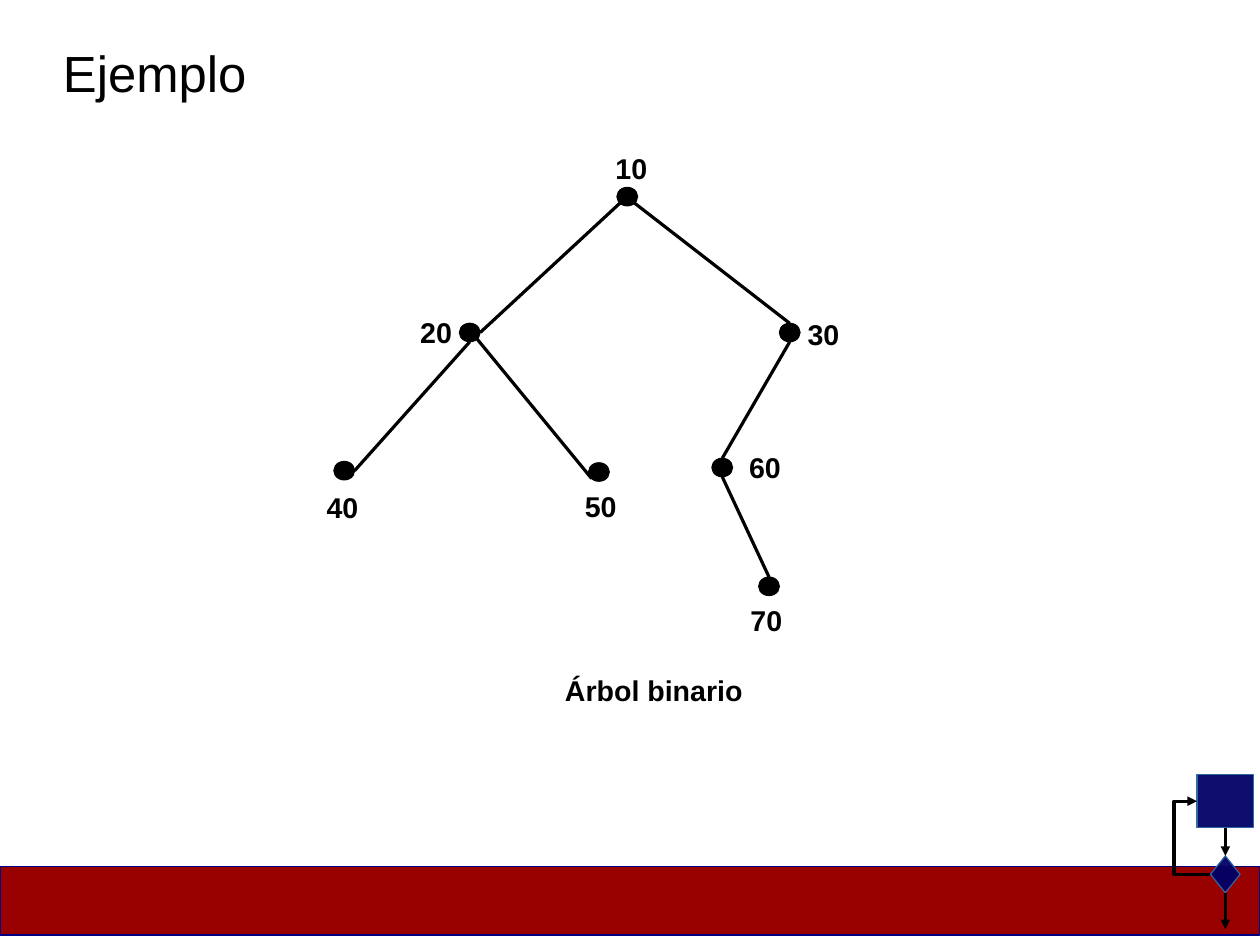
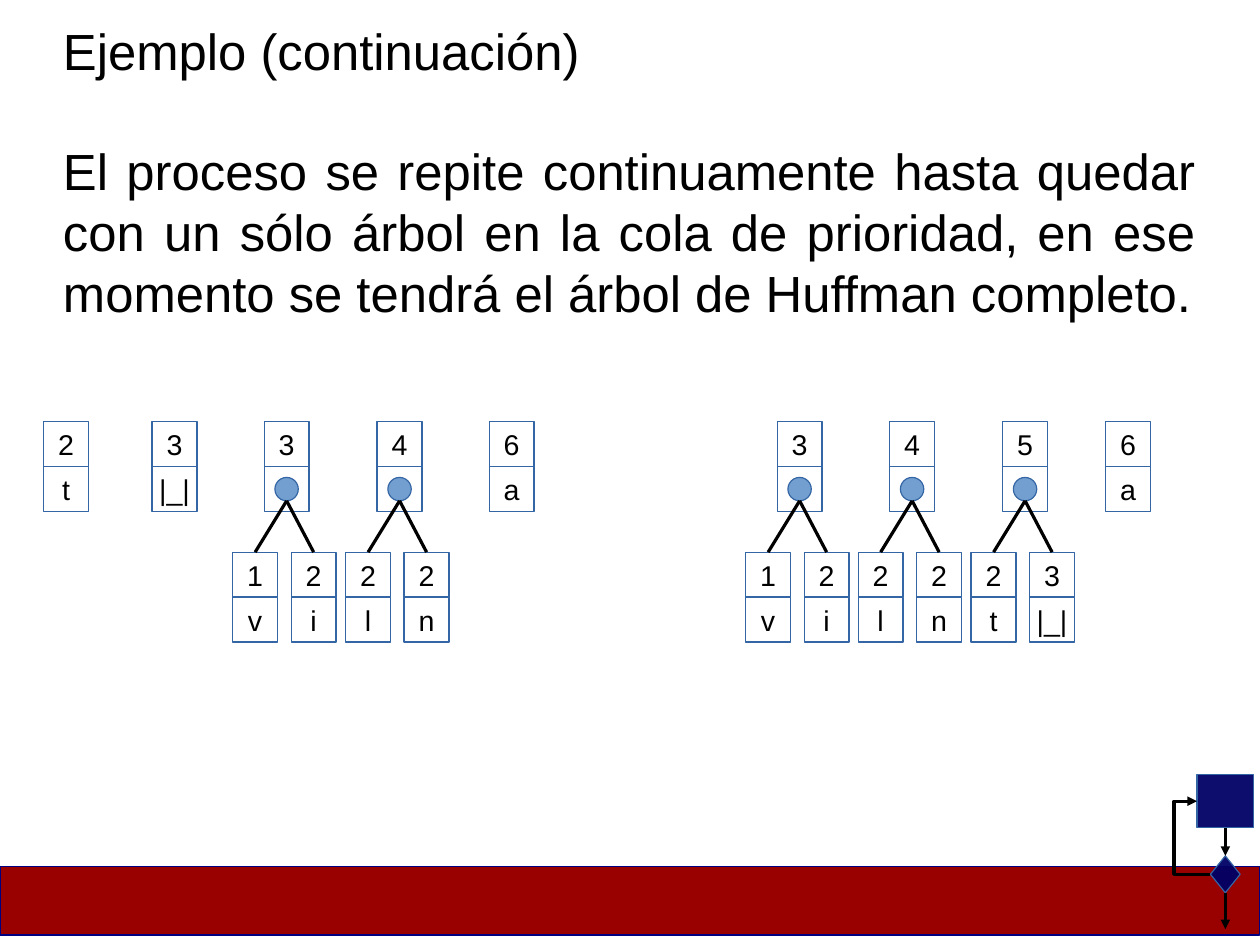
from math import sqrt

from pptx import Presentation
from pptx.dml.color import RGBColor
from pptx.enum.shapes import MSO_CONNECTOR, MSO_SHAPE
from pptx.enum.text import MSO_ANCHOR, MSO_AUTO_SIZE, PP_ALIGN
from pptx.oxml.ns import qn
from pptx.oxml.xmlchemy import OxmlElement
from pptx.util import Cm, Pt

RECT, OVAL = MSO_SHAPE.RECTANGLE, MSO_SHAPE.OVAL
PROCESS, DECISION = MSO_SHAPE.FLOWCHART_PROCESS, MSO_SHAPE.FLOWCHART_DECISION
STRAIGHT, ELBOW = MSO_CONNECTOR.STRAIGHT, MSO_CONNECTOR.ELBOW
CENTER, JUSTIFY = PP_ALIGN.CENTER, PP_ALIGN.JUSTIFY
TOP, MIDDLE = MSO_ANCHOR.TOP, MSO_ANCHOR.MIDDLE
NO_AUTOFIT = MSO_AUTO_SIZE.NONE

TITLE_ONLY, TITLE_AND_BODY = 5, 1
SITE_TOP, SITE_LEFT, SITE_BOTTOM = 0, 1, 2
FONT = "Arial"
BLACK, WHITE, RED, NAVY = "000000", "FFFFFF", "990000", "000066"
BAND_LINE, BLUE, LIGHT_BLUE = "000080", "3465A4", "729FCF"

WIDTH, HEIGHT = 28, 21
NODE_W, NODE_H = 0.46, 0.41
CELL, DOT = 1, 0.52
QUEUE_TOP, LEAF_TOP = 9.37, 12.27
LEAF_OFFSETS = (-0.7, 0.6)

DIAGONAL = sqrt(0.5)
SIDES = {
    "top": (0, -1), "bottom": (0, 1), "right": (1, 0),
    "lower left": (-DIAGONAL, DIAGONAL), "lower right": (DIAGONAL, DIAGONAL),
}
NODES = {
    "10": ((13.94, 4.37), (14.03, 3.73)),
    "20": ((10.44, 7.39), (9.69, 7.39)),
    "30": ((17.55, 7.39), (18.3, 7.42)),
    "40": ((7.65, 10.46), (7.61, 11.28)),
    "50": ((13.31, 10.49), (13.35, 11.25)),
    "60": ((16.05, 10.39), (17, 10.39)),
    "70": ((17.09, 13.03), (17.03, 13.79)),
}
EDGES = [
    ("10", "lower left", "20", "right"),
    ("10", "lower right", "30", "top"),
    ("20", "bottom", "40", "right"),
    ("20", "lower right", "50", "lower left"),
    ("30", "bottom", "60", "top"),
    ("60", "bottom", "70", "top"),
]
VI = [("1", "v"), ("2", "i")]
LN = [("2", "l"), ("2", "n")]
T_SPACE = [("2", "t"), ("3", "|_|")]
QUEUE = [
    (0.97, "2", "t"), (3.38, "3", "|_|"), (5.87, "3", VI), (8.38, "4", LN),
    (10.87, "6", "a"), (17.27, "3", VI), (19.77, "4", LN),
    (22.28, "5", T_SPACE), (24.57, "6", "a"),
]


def color(value):
    return RGBColor.from_string(value)


class Deck:
    def __init__(self):
        self.prs = Presentation()
        self.prs.slide_width, self.prs.slide_height = Cm(WIDTH), Cm(HEIGHT)
        self.slide = None

    def new_slide(self, layout, title, title_top):
        self.slide = self.prs.slides.add_slide(self.prs.slide_layouts[layout])
        self.footer()
        self.placeholder(self.slide.shapes.title, title, title_top, 1.4)

    def style(self, tf, size, align, anchor, bold=False):
        tf.vertical_anchor = anchor
        for p in tf.paragraphs:
            p.alignment = align
            for r in p.runs:
                r.font.name, r.font.size, r.font.bold = FONT, Pt(size), bold
                r.font.color.rgb = color(BLACK)

    def placeholder(self, sp, text, top, height):
        sp.left, sp.top = Cm(1.4), Cm(top)
        sp.width, sp.height = Cm(25.2), Cm(height)
        tf = sp.text_frame
        tf.text = text
        tf.word_wrap, tf.auto_size = True, NO_AUTOFIT
        tf.margin_left = tf.margin_right = tf.margin_top = tf.margin_bottom = 0
        tf.paragraphs[0].space_before = Pt(0)
        self.style(tf, 32, JUSTIFY, TOP)

    def body(self, text, top, height):
        sp = self.slide.placeholders[1]
        self.placeholder(sp, text, top, height)
        p = sp.text_frame.paragraphs[0]
        p.line_spacing = Pt(38.4)
        pPr = p._p.get_or_add_pPr()
        pPr.set("marL", "0")
        pPr.set("indent", "0")
        pPr.append(OxmlElement("a:buNone"))

    def shape(self, kind, x, y, w, h, fill, line, alpha=None):
        sp = self.slide.shapes.add_shape(kind, Cm(x), Cm(y), Cm(w), Cm(h))
        sp.shadow.inherit = False
        sp.fill.solid()
        sp.fill.fore_color.rgb = color(fill)
        sp.line.color.rgb = color(line)
        sp.line.width = Pt(0)
        if alpha:
            el = OxmlElement("a:alpha")
            el.set("val", str(alpha * 1000))
            sp.element.spPr.find(qn("a:solidFill"))[0].append(el)
        return sp

    def connector(self, start, end, kind=STRAIGHT, arrow=False):
        c = self.slide.shapes.add_connector(kind, *map(Cm, (*start, *end)))
        c.line.color.rgb = color(BLACK)
        c.line.width = Pt(0)
        spPr = c.element.spPr
        if arrow:
            el = OxmlElement("a:tailEnd")
            el.set("type", "triangle")
            spPr.find(qn("a:ln")).append(el)
        spPr.append(OxmlElement("a:effectLst"))
        return c

    def label(self, text, center, width=1.5):
        x, y = center
        sp = self.slide.shapes.add_textbox(
            Cm(x - width / 2), Cm(y - 0.5), Cm(width), Cm(1))
        sp.text_frame.text = text
        sp.text_frame.word_wrap = False
        self.style(sp.text_frame, 18, CENTER, MIDDLE, bold=True)

    def cell(self, x, y, text=""):
        sp = self.shape(RECT, x, y, CELL, CELL, WHITE, BLUE)
        if text:
            sp.text_frame.text = text
            sp.text_frame.word_wrap = False
            self.style(sp.text_frame, 18, CENTER, MIDDLE)
        return sp

    def pair(self, x, y, count, letter=""):
        upper = self.cell(x, y, count)
        self.cell(x, y + CELL, letter)
        return upper

    def queue_item(self, x, count, content):
        if isinstance(content, str):
            self.pair(x, QUEUE_TOP, count, content)
            return
        self.pair(x, QUEUE_TOP, count)
        cx, cy = x + CELL / 2, QUEUE_TOP + 1.5 * CELL
        self.shape(OVAL, cx - DOT / 2, cy - DOT / 2, DOT, DOT, LIGHT_BLUE, BLUE)
        for offset, leaf in zip(LEAF_OFFSETS, content):
            sp = self.pair(x + offset, LEAF_TOP, *leaf)
            c = self.connector((cx + offset, LEAF_TOP), (cx, cy + DOT / 2))
            c.begin_connect(sp, SITE_TOP)

    def tree(self):
        for text, ((x, y), label_center) in NODES.items():
            self.shape(OVAL, x - NODE_W / 2, y - NODE_H / 2,
                       NODE_W, NODE_H, BLACK, BLACK)
            self.label(text, label_center)
        for parent, start, child, end in EDGES:
            self.connector(self.node_side(parent, start),
                           self.node_side(child, end))

    def node_side(self, name, side):
        (x, y), (dx, dy) = NODES[name][0], SIDES[side]
        return x + dx * NODE_W / 2, y + dy * NODE_H / 2

    def footer(self):
        self.shape(RECT, 0, 19.25, WIDTH, 1.53, RED, BAND_LINE)
        decision = self.shape(DECISION, 26.9, 19.02, 0.66, 0.82, NAVY, BLUE, 95)
        process = self.shape(PROCESS, 26.6, 17.22, 1.26, 1.17, NAVY, BLUE, 95)
        down = self.connector((27.23, 18.39), (27.23, 19.02), arrow=True)
        down.begin_connect(process, SITE_BOTTOM)
        down.end_connect(decision, SITE_TOP)
        back = self.connector((26.9, 19.43), (26.6, 17.81), ELBOW, arrow=True)
        back.begin_connect(decision, SITE_LEFT)
        back.end_connect(process, SITE_LEFT)
        gd = OxmlElement("a:gd")
        gd.set("name", "adj1")
        gd.set("fmla", "val 270000")
        back.element.spPr.find(qn("a:prstGeom")).find(qn("a:avLst")).append(gd)
        out = self.connector((27.23, 19.84), (27.23, 20.65), arrow=True)
        out.begin_connect(decision, SITE_BOTTOM)


def main():
    deck = Deck()
    deck.new_slide(TITLE_ONLY, "Ejemplo", 0.93)
    deck.tree()
    deck.label("Árbol binario", (14.53, 15.33), 4.6)

    deck.new_slide(TITLE_AND_BODY, "Ejemplo (continuación)", 0.44)
    deck.body("El proceso se repite continuamente hasta quedar con un sólo "
              "árbol en la cola de prioridad, en ese momento se tendrá el "
              "árbol de Huffman completo.", 3.1, 4.2)
    for item in QUEUE:
        deck.queue_item(*item)
    deck.prs.save("out.pptx")


if __name__ == "__main__":
    main()
